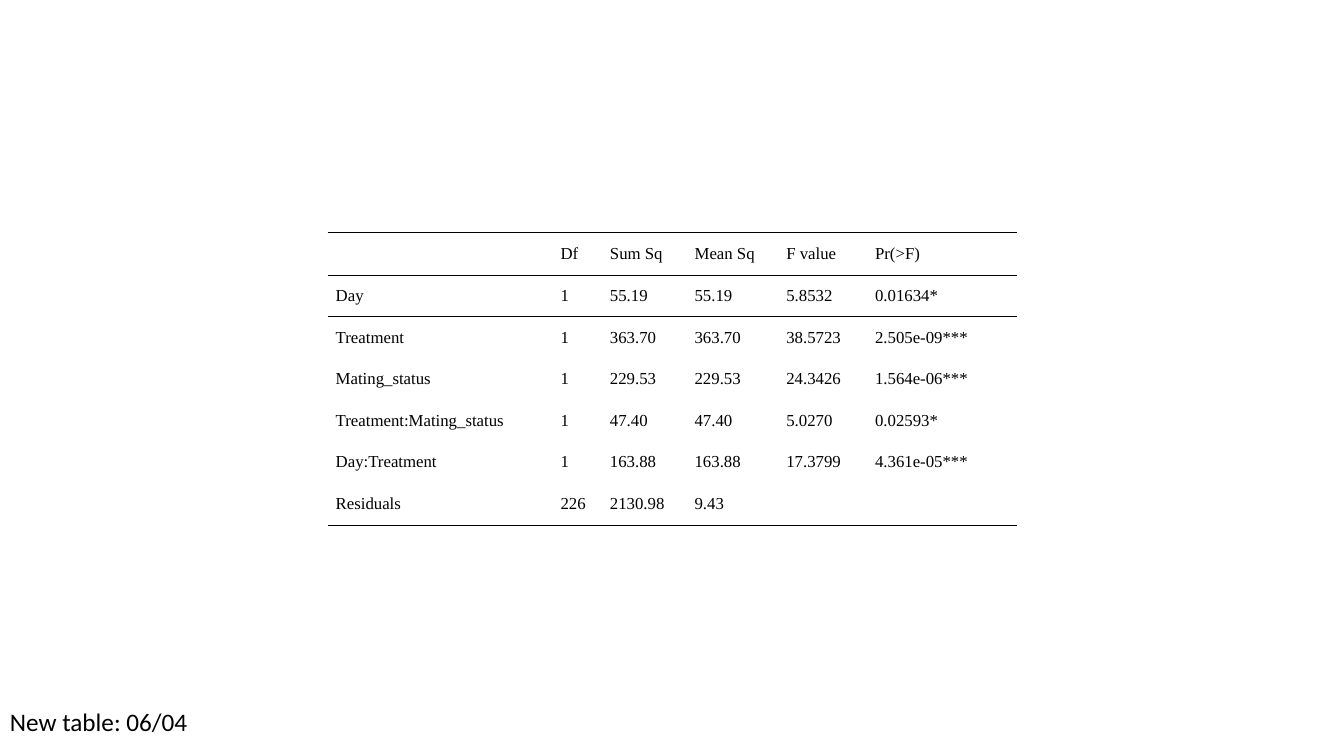
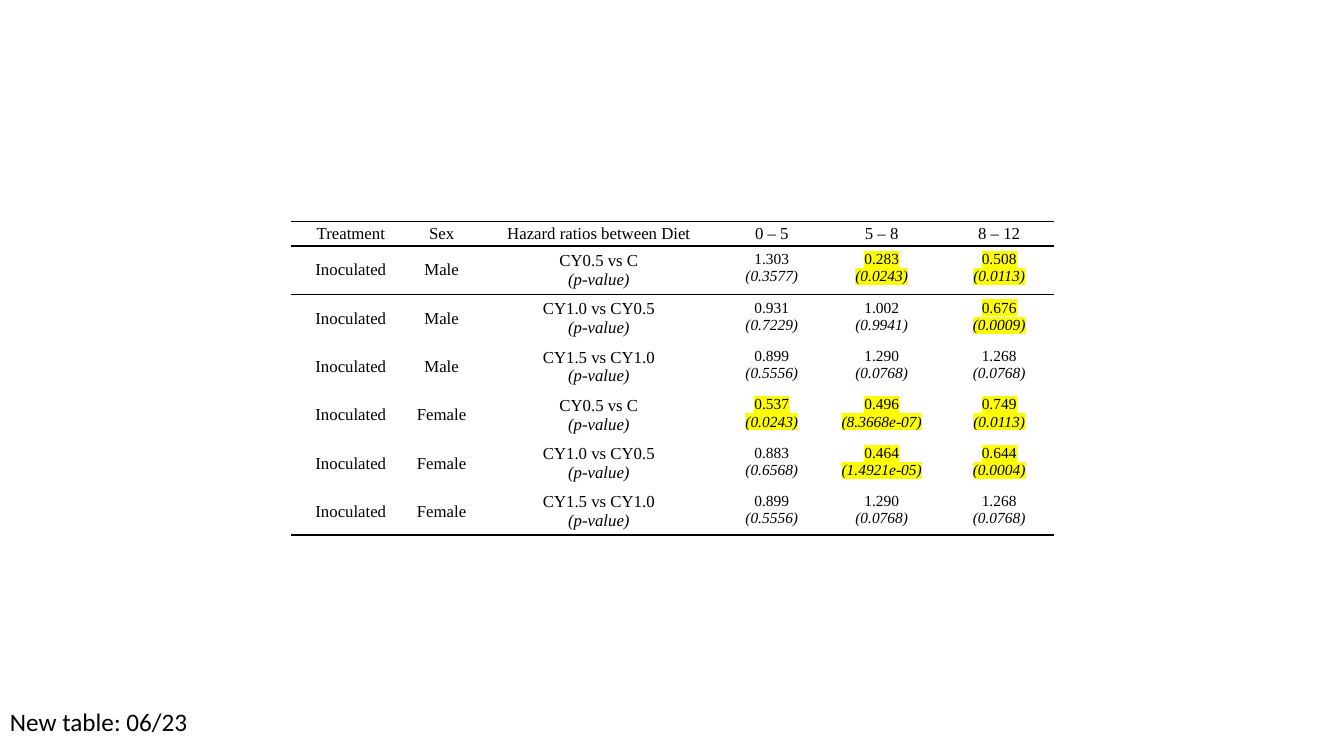
from lxml import etree
from pptx import Presentation
from pptx.dml.color import RGBColor
from pptx.enum import text
from pptx.oxml import ns
from pptx.util import Inches, Pt

COLORS = {"ink": "000000", "mark": "FFFF00"}
PLAIN_STYLE = "{2D5ABB26-0587-4C30-8999-92F81FD0307C}"
ALPHA = 0.05

ANOVA = [
    ["", "Df", "Sum Sq", "Mean Sq", "F value", "Pr(>F)"],
    ["Day", "1", "55.19", "55.19", "5.8532", "0.01634*"],
    ["Treatment", "1", "363.70", "363.70", "38.5723", "2.505e-09***"],
    ["Mating_status", "1", "229.53", "229.53", "24.3426", "1.564e-06***"],
    ["Treatment:Mating_status", "1", "47.40", "47.40", "5.0270", "0.02593*"],
    ["Day:Treatment", "1", "163.88", "163.88", "17.3799", "4.361e-05***"],
    ["Residuals", "226", "2130.98", "9.43", "", ""],
]

HAZARD_HEADER = ["Treatment", "Sex", "Hazard ratios between Diet",
                 "0 – 5", "5 – 8", "8 – 12"]
DIETS = ["CY0.5 vs C", "CY1.0 vs CY0.5", "CY1.5 vs CY1.0"]
# Per sex, one row per diet pair: (hazard ratio, p-value) for each period
HAZARDS = {
    "Male": [
        [("1.303", "0.3577"), ("0.283", "0.0243"), ("0.508", "0.0113")],
        [("0.931", "0.7229"), ("1.002", "0.9941"), ("0.676", "0.0009")],
        [("0.899", "0.5556"), ("1.290", "0.0768"), ("1.268", "0.0768")],
    ],
    "Female": [
        [("0.537", "0.0243"), ("0.496", "8.3668e-07"), ("0.749", "0.0113")],
        [("0.883", "0.6568"), ("0.464", "1.4921e-05"), ("0.644", "0.0004")],
        [("0.899", "0.5556"), ("1.290", "0.0768"), ("1.268", "0.0768")],
    ],
}


def add_xml(parent, tag, **attrs):
    return etree.SubElement(parent, ns.qn(tag), attrs)


def write(tf, content, size=12, font="Times New Roman", align=None, mark=False):
    """Write one paragraph per line; lines after the first are italic."""
    for i, line in enumerate(content.split("\n")):
        p = tf.add_paragraph() if i else tf.paragraphs[0]
        p.alignment = align
        r = p.add_run()
        r.text = line
        r.font.name, r.font.size, r.font.italic = font, Pt(size), i > 0
        r.font.color.rgb = RGBColor.from_string(COLORS["ink"])
        if mark:
            fill = next(p._p.iter(ns.qn("a:solidFill")))
            highlight = etree.Element(ns.qn("a:highlight"))
            add_xml(highlight, "a:srgbClr", val=COLORS["mark"])
            fill.addnext(highlight)


class Deck:
    def __init__(self):
        self.prs = Presentation()
        self.prs.slide_width, self.prs.slide_height = Inches(13.33), Inches(7.5)
        self.s = None

    def slide(self, caption):
        self.s = self.prs.slides.add_slide(self.prs.slide_layouts[6])
        tf = self.s.shapes.add_textbox(
            Inches(0), Inches(6.96), Inches(1.98), Inches(0.4)).text_frame
        tf.word_wrap = False
        tf.auto_size = text.MSO_AUTO_SIZE.SHAPE_TO_FIT_TEXT
        write(tf, caption, size=18, font="Calibri")

    def table(self, left, top, widths, heights):
        """Add an unstyled table ruled above and below its header and at its end."""
        frame = self.s.shapes.add_table(
            len(heights), len(widths), Inches(left), Inches(top),
            Inches(sum(widths)), Inches(sum(heights)))
        table = frame.table
        table.first_row = table.horz_banding = False
        next(frame.element.iter(ns.qn("a:tableStyleId"))).text = PLAIN_STYLE
        for column, width in zip(table.columns, widths):
            column.width = Inches(width)
        for i, (row, height) in enumerate(zip(table.rows, heights)):
            row.height = Inches(height)
            sides = ["T"] * (i < 2) + ["B"] * (i in (0, len(heights) - 1))
            for cell in row.cells:
                self.rule(cell, sides)
                cell.fill.background()
        return table

    def rule(self, cell, sides):
        for side in sides:
            ln = add_xml(cell._tc.get_or_add_tcPr(), f"a:ln{side}", w=str(Pt(1)))
            add_xml(add_xml(ln, "a:solidFill"), "a:srgbClr", val=COLORS["ink"])

    def cell(self, cell, content, inset=None, **style):
        """Fill a cell; a (horizontal, vertical) inset also centres it vertically."""
        if inset:
            cell.margin_left = cell.margin_right = Inches(inset[0])
            cell.margin_top = cell.margin_bottom = Inches(inset[1])
            cell.vertical_anchor = text.MSO_ANCHOR.MIDDLE
        write(cell.text_frame, content, **style)


def anova_slide(deck):
    deck.slide("New table: 06/04")
    rows = len(ANOVA)
    table = deck.table(3.25, 2.31, [2.23, 0.49, 0.84, 0.91, 0.88, 1.49],
                       [2.89 / rows] * rows)
    for i, values in enumerate(ANOVA):
        for j, value in enumerate(values):
            deck.cell(table.cell(i, j), value, inset=(0.08, 0.06))


def hazard_slide(deck):
    deck.slide("New table: 06/23")
    table = deck.table(2.89, 2.2, [1.18, 0.62, 2.5, 0.93, 1.25, 1.08],
                       [0.24] + [0.48] * 5 + [0.44])
    label = {"inset": (0.05, 0.02), "align": text.PP_ALIGN.CENTER}
    for j, title in enumerate(HAZARD_HEADER):
        deck.cell(table.cell(0, j), title, **label)
    records = [(sex, diet, results) for sex, group in HAZARDS.items()
               for diet, results in zip(DIETS, group)]
    for i, (sex, diet, results) in enumerate(records, 1):
        for j, name in enumerate(["Inoculated", sex, f"{diet}\n(p-value)"]):
            deck.cell(table.cell(i, j), name, **label)
        for j, (ratio, p_value) in enumerate(results, 3):
            deck.cell(table.cell(i, j), f"{ratio}\n({p_value})", size=11,
                      align=text.PP_ALIGN.CENTER, mark=float(p_value) < ALPHA)


def main():
    deck = Deck()
    anova_slide(deck)
    hazard_slide(deck)
    deck.prs.save("out.pptx")


if __name__ == "__main__":
    main()
